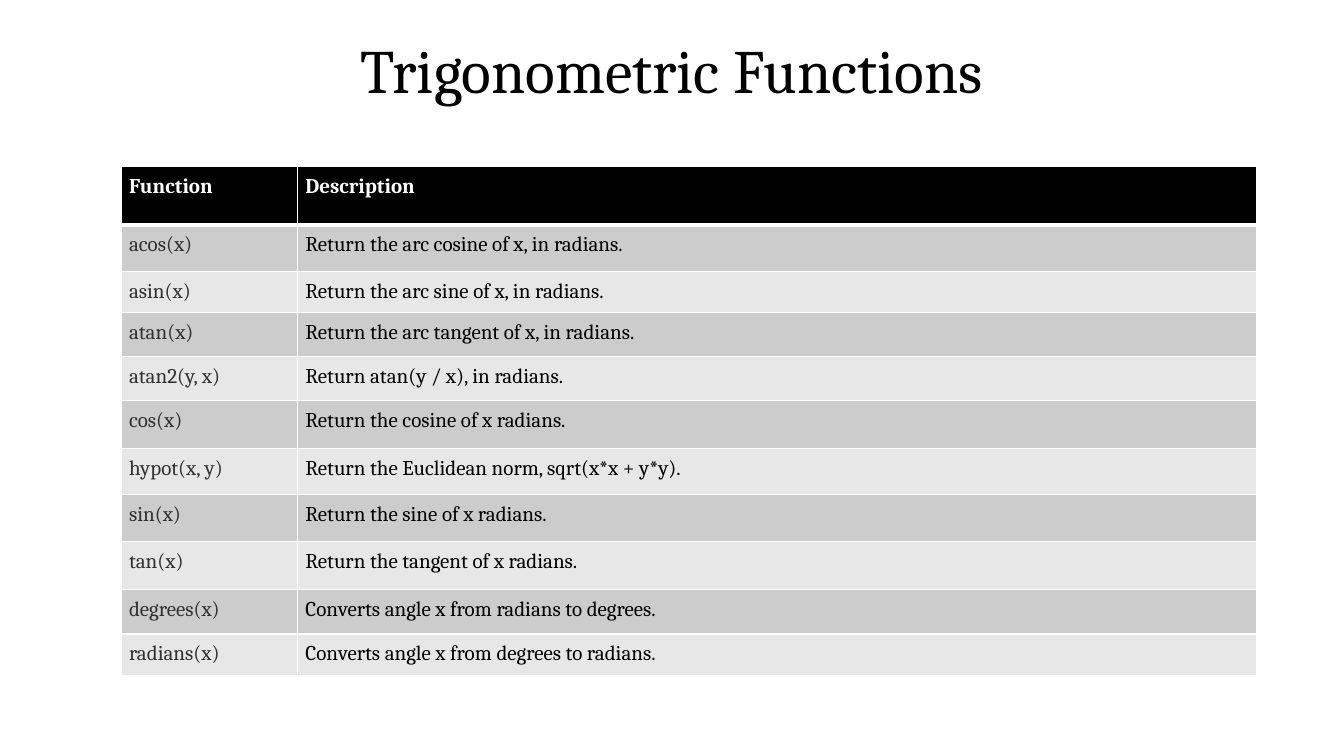
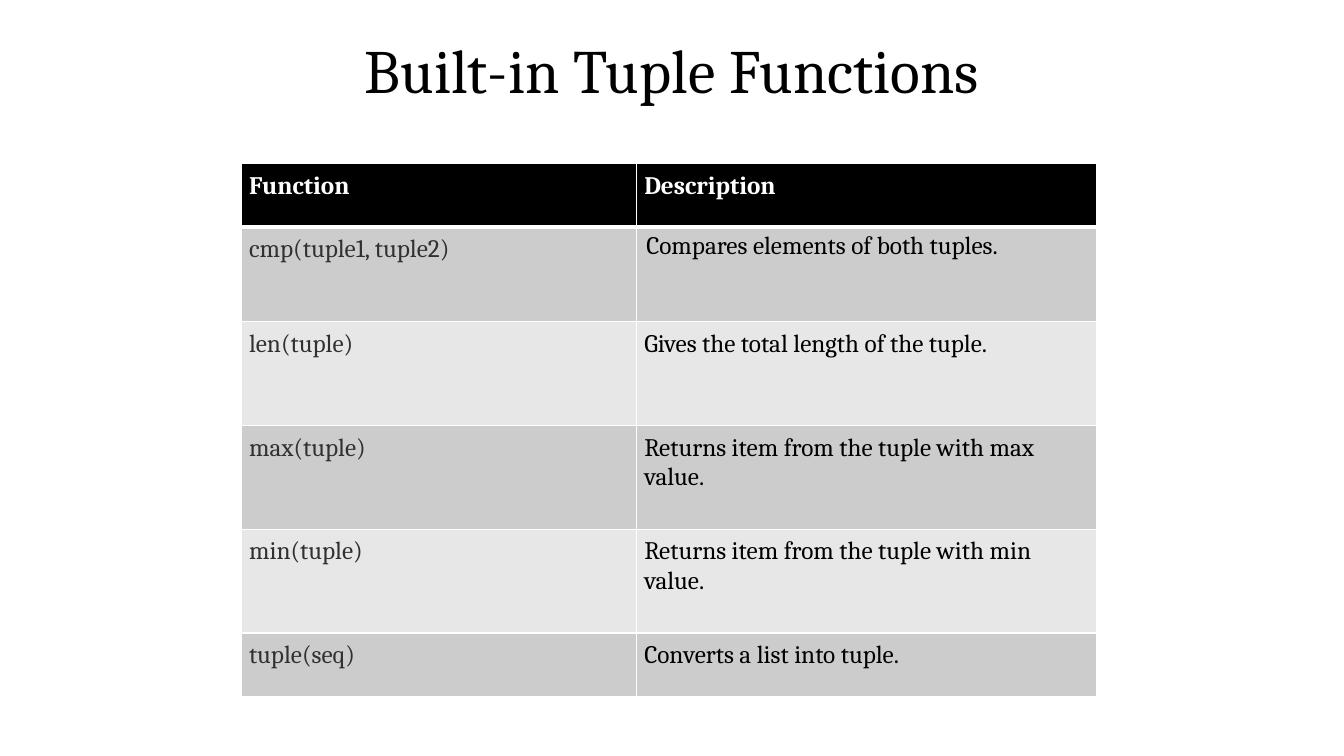
from lxml.etree import SubElement
from pptx import Presentation
from pptx.dml.color import RGBColor
from pptx.enum.text import MSO_ANCHOR as Anchor, PP_ALIGN as Align
from pptx.oxml.ns import qn
from pptx.util import Pt

EMU_PER_PX = 9144

TRIGONOMETRIC_ROWS = [
    ("Function", "Description"),
    ("acos(x)", "Return the arc cosine of x, in radians."),
    ("asin(x)", "Return the arc sine of x, in radians."),
    ("atan(x)", "Return the arc tangent of x, in radians."),
    ("atan2(y, x)", "Return atan(y / x), in radians."),
    ("cos(x)", "Return the cosine of x radians."),
    ("hypot(x, y)", "Return the Euclidean norm, sqrt(x*x + y*y)."),
    ("sin(x)", "Return the sine of x radians."),
    ("tan(x)", "Return the tangent of x radians."),
    ("degrees(x)", "Converts angle x from radians to degrees."),
    ("radians(x)", "Converts angle x from degrees to radians."),
]

TUPLE_ROWS = [
    ("Function", "Description"),
    ("cmp(tuple1, tuple2)", "Compares elements of both tuples."),
    ("len(tuple)", "Gives the total length of the tuple."),
    ("max(tuple)", "Returns item from the tuple with max value."),
    ("min(tuple)", "Returns item from the tuple with min value."),
    ("tuple(seq)", "Converts a list into tuple."),
]


def px(length):
    return length * EMU_PER_PX


def rgb(value):
    return RGBColor.from_string(value)


class Deck:
    WIDTH, HEIGHT = 1333, 750
    FONT = "Cambria"
    BLACK, WHITE, NAME_GREY = "000000", "FFFFFF", "313131"
    BANDS = ("E7E7E7", "CCCCCC")
    TITLE_HEIGHT, TITLE_SIZE = 145, 44
    CELL_MARGIN = 8
    THIN, THICK = 1, 3

    def __init__(self):
        self.presentation = Presentation()
        self.presentation.slide_width = px(self.WIDTH)
        self.presentation.slide_height = px(self.HEIGHT)
        self.slide = None

    def add_slide(self, title):
        blank_layout = self.presentation.slide_layouts[6]
        self.slide = self.presentation.slides.add_slide(blank_layout)
        self.add_title(title)

    def add_title(self, text):
        shape = self.slide.shapes.add_textbox(0, 0, px(self.WIDTH), px(self.TITLE_HEIGHT))
        text_frame = shape.text_frame
        text_frame.word_wrap = True
        text_frame.vertical_anchor = Anchor.MIDDLE
        text_frame.text = text
        paragraph = text_frame.paragraphs[0]
        paragraph.line_spacing = 0.9
        self.format_text(paragraph, self.TITLE_SIZE, self.BLACK, Align.CENTER)

    def format_text(self, paragraph, size, color, alignment=Align.LEFT, bold=False):
        paragraph.alignment = alignment
        for run in paragraph.runs:
            run.font.name = self.FONT
            run.font.size = Pt(size)
            run.font.bold = bold
            run.font.color.rgb = rgb(color)

    def add_table(self, left, top, widths, heights, rows, size, justified_rows):
        frame = self.slide.shapes.add_table(
            len(rows), len(widths), px(left), px(top), px(sum(widths)), px(sum(heights)))
        table = frame.table
        for column, width in zip(table.columns, widths):
            column.width = px(width)
        for row, height in zip(table.rows, heights):
            row.height = px(height)
        for row_index, texts in enumerate(rows):
            for column_index, text in enumerate(texts):
                cell = table.cell(row_index, column_index)
                cell.text = text
                self.style_cell(cell, row_index, column_index, size, justified_rows)
        return table

    def style_cell(self, cell, row_index, column_index, size, justified_rows):
        is_header = row_index == 0
        is_name = column_index == 0 and not is_header
        self.set_margins(cell, self.CELL_MARGIN, self.CELL_MARGIN)
        self.set_borders(
            cell,
            top=self.THICK if row_index == 1 else self.THIN,
            bottom=self.THICK if is_header else self.THIN)
        cell.fill.solid()
        cell.fill.fore_color.rgb = rgb(self.BLACK if is_header else self.BANDS[row_index % 2])
        color = self.WHITE if is_header else self.NAME_GREY if is_name else self.BLACK
        justified = is_name and row_index <= justified_rows
        alignment = Align.JUSTIFY if justified else Align.LEFT
        self.format_text(cell.text_frame.paragraphs[0], size, color, alignment, is_header)

    def set_margins(self, cell, horizontal, vertical):
        cell.margin_left = cell.margin_right = px(horizontal)
        cell.margin_top = cell.margin_bottom = px(vertical)

    def set_borders(self, cell, top, bottom):
        properties = cell._tc.get_or_add_tcPr()
        widths = {"lnL": self.THIN, "lnR": self.THIN, "lnT": top, "lnB": bottom}
        for side, width in widths.items():
            line = SubElement(properties, qn(f"a:{side}"), w=str(Pt(width)))
            fill = SubElement(line, qn("a:solidFill"))
            SubElement(fill, qn("a:srgbClr"), val=self.WHITE)


def main():
    deck = Deck()

    deck.add_slide("Trigonometric Functions")
    deck.add_table(
        120, 165, [175, 951], [58, 46, 40, 44, 43, 48, 46, 46, 48, 44, 41],
        TRIGONOMETRIC_ROWS, size=15, justified_rows=10)

    deck.add_slide("Built-in Tuple Functions")
    table = deck.add_table(
        239, 162, [392, 457], [63, 94, 103, 103, 103, 63],
        TUPLE_ROWS, size=18, justified_rows=1)
    deck.set_margins(table.cell(1, 1), 10, 5)

    deck.presentation.save("out.pptx")


if __name__ == "__main__":
    main()
